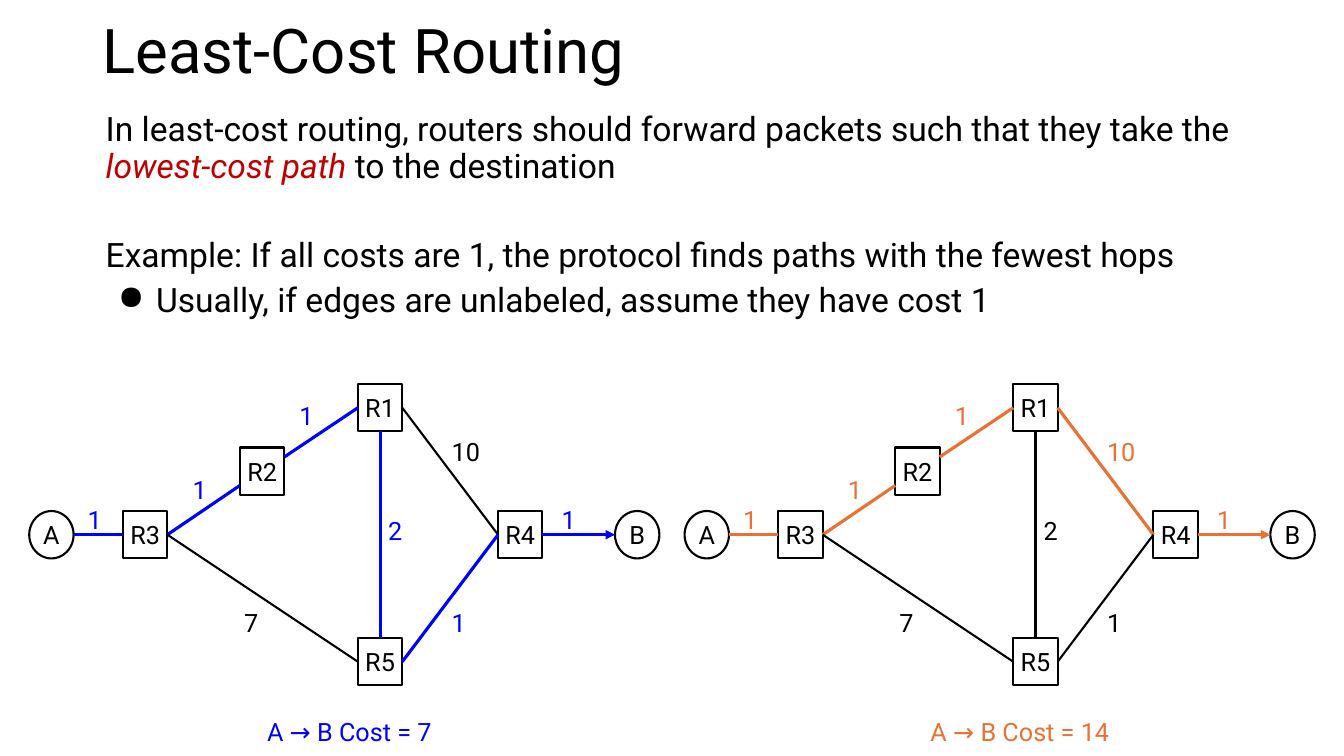
import pptx
import pptx.util
import pptx.dml.color
import pptx.enum.shapes
import pptx.enum.text
import pptx.oxml
import pptx.oxml.ns
import lxml.etree

Inches = pptx.util.Inches
Pt = pptx.util.Pt
SHAPES = pptx.enum.shapes.MSO_SHAPE
ANCHOR = pptx.enum.text.MSO_ANCHOR
ALIGN = pptx.enum.text.PP_ALIGN

FONT = "Roboto"
COLOURS = {
    "black": "000000",
    "white": "FFFFFF",
    "red": "C00000",
    "blue": "0000FF",
    "orange": "E97132",
}
NODE_WIDTH, NODE_HEIGHT = 0.44, 0.47
NODES = {
    "A": (0, 1.26),
    "R3": (0.93, 1.26),
    "R2": (2.09, 0.63),
    "R1": (3.26, 0),
    "R5": (3.26, 2.52),
    "R4": (4.65, 1.26),
    "B": (5.81, 1.26),
}
LEFT, RIGHT, TOP, BOTTOM = (0, 0.5), (1, 0.5), (0.5, 0), (0.5, 1)
R2_ENTRY, R2_EXIT = (0, 0.8), (1, 0.2)
EDGES = [
    ("A", RIGHT, "R3", LEFT, 1, (0.58, 1.15)),
    ("R3", RIGHT, "R2", R2_ENTRY, 1, (1.62, 0.85)),
    ("R2", R2_EXIT, "R1", LEFT, 1, (2.68, 0.12)),
    ("R1", BOTTOM, "R5", TOP, 2, (3.56, 1.26)),
    ("R3", RIGHT, "R5", LEFT, 7, (2.13, 2.17)),
    ("R1", RIGHT, "R4", LEFT, 10, (4.19, 0.47)),
    ("R5", RIGHT, "R4", LEFT, 1, (4.19, 2.17)),
    ("R4", RIGHT, "B", LEFT, 1, (5.28, 1.15)),
]


def colour(name):
    return pptx.dml.color.RGBColor.from_string(COLOURS[name])


def add_run(paragraph, text, size, colour_name="black", italic=False):
    run = paragraph.add_run()
    run.text = text
    run.font.name = FONT
    run.font.size = Pt(size)
    run.font.italic = italic
    run.font.color.rgb = colour(colour_name)


def add_text_box(slide, left, top, width, height, margin_x=0, margin_y=0):
    box = slide.shapes.add_textbox(Inches(left), Inches(top), Inches(width), Inches(height))
    frame = box.text_frame
    frame.word_wrap = True
    frame.margin_left = frame.margin_right = Inches(margin_x)
    frame.margin_top = frame.margin_bottom = Inches(margin_y)
    return frame


def add_title(slide, left, top, width, height):
    paragraph = add_text_box(slide, left, top, width, height, 0.1, 0.05).paragraphs[0]
    paragraph.line_spacing = 0.9
    add_run(paragraph, "Least-Cost Routing", 44)


def add_body(slide, left, top, width, height):
    frame = add_text_box(slide, left, top, width, height, 0.1, 0.1)
    definition, example, note = frame.paragraphs[0], frame.add_paragraph(), frame.add_paragraph()
    for paragraph, space in ((definition, 0), (example, 38), (note, 6)):
        paragraph.line_spacing = 0.9
        paragraph.space_before = Pt(space)
    add_run(definition, "In least-cost routing, routers should forward packets such that they take the ", 24)
    add_run(definition, "lowest-cost path ", 24, "red", True)
    add_run(definition, "to the destination", 24)
    add_run(example, "Example: If all costs are 1, the protocol finds paths with the fewest hops", 24)
    properties = note._p.get_or_add_pPr()
    properties.set("marL", str(Inches(0.5)))
    properties.set("indent", str(Inches(-0.38)))
    bullet = lxml.etree.SubElement(properties, pptx.oxml.ns.qn("a:buChar"))
    bullet.set("char", "●")
    add_run(note, "Usually, if edges are unlabeled, assume they have cost 1", 24)


def add_label(slide, text, left, top, width, colour_name, alignment=ALIGN.LEFT):
    paragraph = add_text_box(slide, left, top, width, 0.36).paragraphs[0]
    paragraph.line_spacing = 1.15
    paragraph.alignment = alignment
    add_run(paragraph, text, 18, colour_name)


def add_node(slide, name, left, top):
    kind = SHAPES.RECTANGLE if name.startswith("R") else SHAPES.OVAL
    shape = slide.shapes.add_shape(
        kind, Inches(left), Inches(top), Inches(NODE_WIDTH), Inches(NODE_HEIGHT))
    shape.shadow.inherit = False
    shape.fill.solid()
    shape.fill.fore_color.rgb = colour("white")
    shape.line.color.rgb = colour("black")
    shape.line.width = Pt(1.5)
    frame = shape.text_frame
    frame.margin_left = frame.margin_right = frame.margin_top = frame.margin_bottom = 0
    frame.vertical_anchor = ANCHOR.MIDDLE
    frame.paragraphs[0].alignment = ALIGN.CENTER
    add_run(frame.paragraphs[0], name, 18)


def add_edge(slide, start, end, colour_name, width, arrow):
    connector = slide.shapes.add_connector(
        pptx.enum.shapes.MSO_CONNECTOR.STRAIGHT, *(Inches(value) for value in start + end))
    connector.line.color.rgb = colour(colour_name)
    connector.line.width = Pt(width)
    if arrow:
        tail = lxml.etree.SubElement(connector.line._get_or_add_ln(), pptx.oxml.ns.qn("a:tailEnd"))
        tail.set("type", "triangle")
    lxml.etree.SubElement(connector._element.spPr, pptx.oxml.ns.qn("a:effectLst"))


def add_graph(slide, left, top, route, route_colour, caption_left):
    def point(node, site):
        x, y = NODES[node]
        return left + x + site[0] * NODE_WIDTH, top + y + site[1] * NODE_HEIGHT

    for name, (x, y) in NODES.items():
        add_node(slide, name, left + x, top + y)
    hops = set(zip(route, route[1:]))
    total = 0
    for start, start_site, end, end_site, cost, (x, y) in EDGES:
        on_route = (start, end) in hops
        edge_colour = route_colour if on_route else "black"
        total += cost if on_route else 0
        add_edge(slide, point(start, start_site), point(end, end_site),
                 edge_colour, 2.25 if on_route else 1.5, end == "B")
        add_label(slide, str(cost), left + x, top + y, 0.37 if cost > 9 else 0.21, edge_colour)
    add_label(slide, f"A → B Cost = {total}", left + caption_left, top + 3.25, 2.15,
              route_colour, ALIGN.CENTER)


def main():
    presentation = pptx.Presentation()
    presentation.slide_width = Inches(13.33)
    presentation.slide_height = Inches(7.5)
    slide = presentation.slides.add_slide(presentation.slide_layouts[6])
    add_title(slide, 0.92, 0.15, 11.5, 0.79)
    add_body(slide, 0.95, 1.02, 11.44, 2.37)
    add_graph(slide, 0.29, 3.81, ["A", "R3", "R2", "R1", "R5", "R4", "B"], "blue", 2.1)
    add_graph(slide, 6.79, 3.81, ["A", "R3", "R2", "R1", "R4", "B"], "orange", 2.25)
    presentation.save("out.pptx")


if __name__ == "__main__":
    main()
